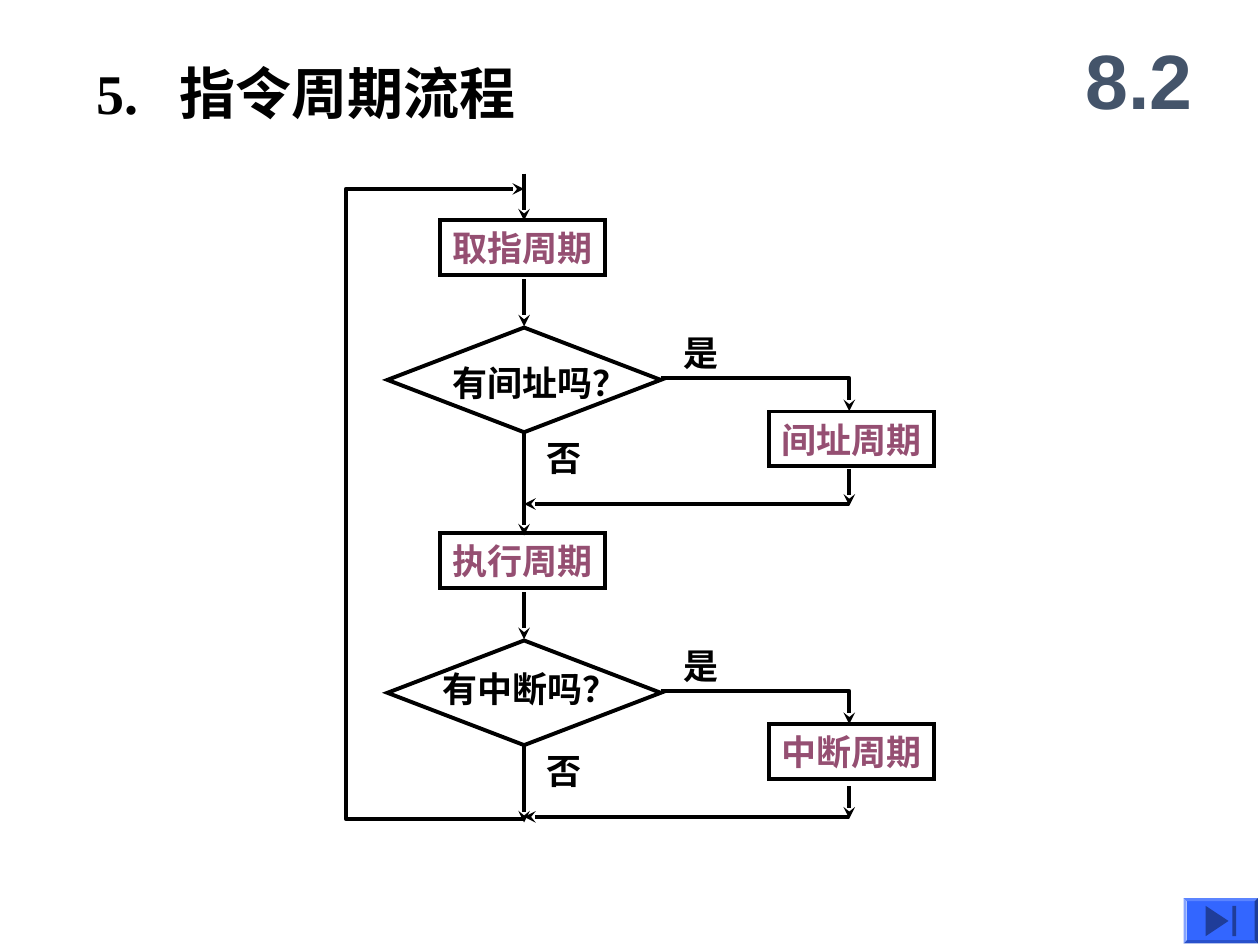
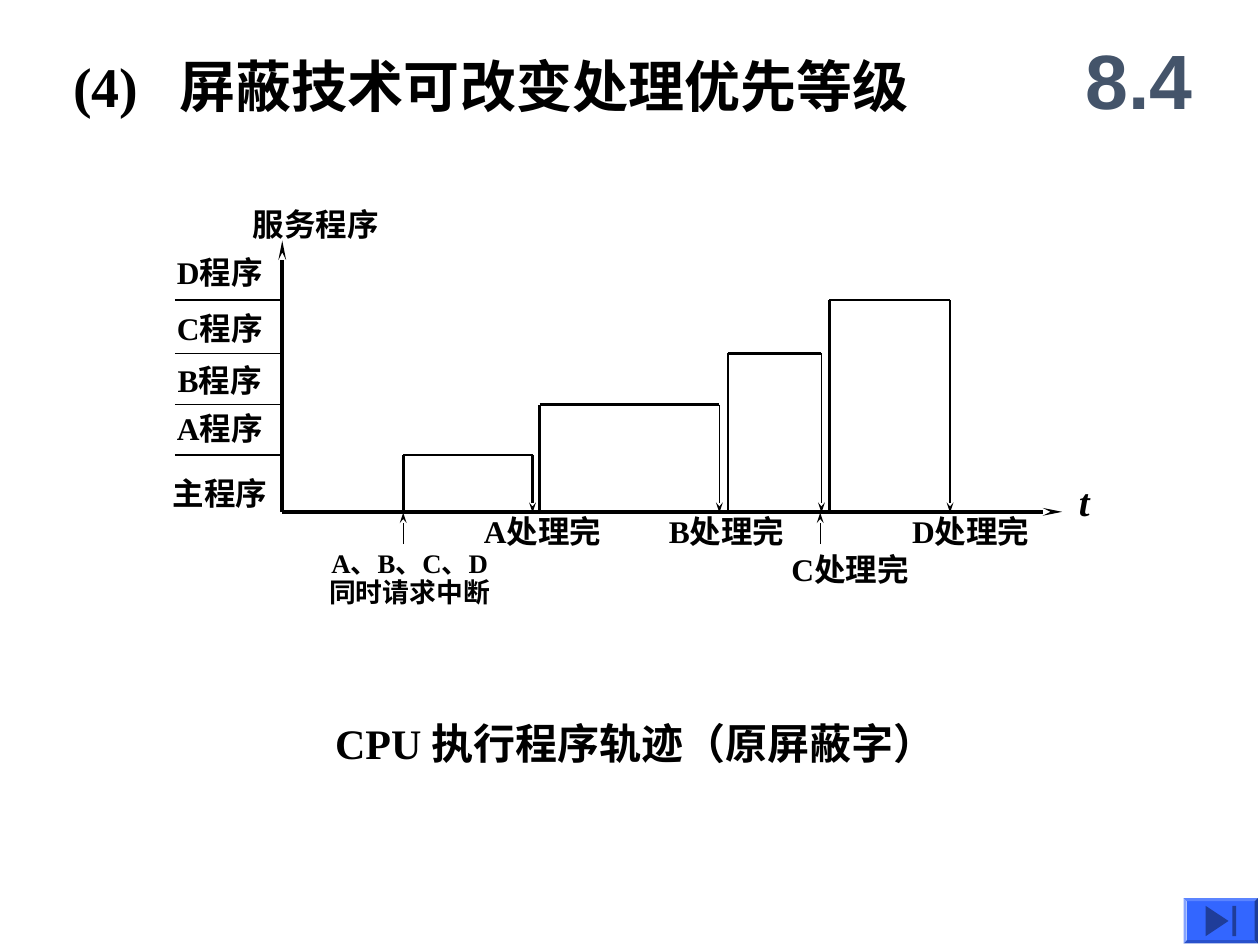
from lxml import etree
from pptx import Presentation
from pptx.dml.color import RGBColor
from pptx.enum.shapes import MSO_CONNECTOR, MSO_SHAPE
from pptx.enum.text import MSO_ANCHOR, MSO_AUTO_SIZE, PP_ALIGN
from pptx.oxml.ns import qn
from pptx.util import Pt

LEFT, CENTER = PP_ALIGN.LEFT, PP_ALIGN.CENTER
TOP, MIDDLE = MSO_ANCHOR.TOP, MSO_ANCHOR.MIDDLE
STRAIGHT = MSO_CONNECTOR.STRAIGHT
RECTANGLE, DIAMOND, BEVEL = MSO_SHAPE.RECTANGLE, MSO_SHAPE.DIAMOND, MSO_SHAPE.BEVEL

SERIF, SANS = "Times New Roman", "Arial"
BLACK, PURPLE, SLATE = "000000", "954F72", "44546A"
BUTTON_BLUE, ICON_BLUE = "3366FF", "1F3D99"
TITLE_ONLY = 5

# Arrowheads: width and length
PLAIN_HEAD, SLIM_HEAD, AXIS_HEAD = ("med", "med"), ("sm", "med"), ("sm", "lg")

# number, title, section, left, top, height, tab stop
CYCLE_TITLE = ("5.", "指令周期流程", "8.2", 55.4, 29.7, 46, 47.2)
MASK_TITLE = ("(4)", "屏蔽技术可改变处理优先等级", "8.4", 41.8, 31.7, 33.8, 61)

# Flowchart: each stage is a step, a question and a side step
STAGES = [
    {"step": "取指周期", "question": "有间址吗？", "question_at": (258.4, 206.3),
     "side": "间址周期", "side_exit": 268, "no_end": 306},
    {"step": "执行周期", "question": "有中断吗？", "question_at": (253, 381.6),
     "side": "中断周期", "side_exit": 449.3, "no_end": 470},
]
YES, NO = "是", "否"
STAGE_PITCH = 178.8
MAIN_X, SIDE_X, LOOP_X = 299.5, 485.3, 197.6
STEP_LEFT, SIDE_LEFT = 251.6, 439.6
STEP_SIZE, DIAMOND_SIZE = (94.3, 31.4), (156.2, 59.8)

# Timing diagram: row label, its top, level of its upper line
MAIN_ROW = ("主程序", 270.7)
ROWS = [("A程序", 233.5, 260), ("B程序", 206.2, 231.3),
        ("C程序", 176.4, 202), ("D程序", 144.7, 171.5)]
# start, end, fall line width, done label, its centre, its top
RUNS = [
    (230.4, 304.3, 1.5, "A处理完", 310, 292.3),
    (308.4, 411.1, 1, "B处理完", 415.2, 292.3),
    (416, 469.4, 1, "C处理完", 485.7, 314.3),
    (474, 542.9, 1.5, "D处理完", 554.8, 292.3),
]
AXIS_NAME, TIME_NAME = "服务程序", "t"
REQUEST = ["A、B、C、D", "同时请求中断"]
CAPTION = "CPU 执行程序轨迹（原屏蔽字）"
AXIS_X, AXIS_Y, AXIS_TOP, AXIS_RIGHT = 161.3, 292.5, 137.5, 607
TICK_X, ROW_LEFT, ROW_WIDTH = 100, 93.6, 64
DONE_WIDTH = 88


def color(value):
    return RGBColor.from_string(value)


def write(shape, lines, size, ink=BLACK, font=SERIF, align=LEFT, anchor=TOP,
          wrap=True, spacing=None, italic=False):
    frame = shape.text_frame
    frame.text = "\n".join(lines)
    frame.auto_size = MSO_AUTO_SIZE.NONE
    frame.word_wrap = wrap
    frame.vertical_anchor = anchor
    frame.margin_left = frame.margin_right = 0
    frame.margin_top = frame.margin_bottom = 0
    for para in frame.paragraphs:
        para.alignment = align
        if spacing:
            para.line_spacing = spacing
        for span in para.runs:
            span.font.name, span.font.size = font, Pt(size)
            span.font.bold, span.font.italic = True, italic
            span.font.color.rgb = color(ink)


def add_label(page, text, left, top, width, height, size, **style):
    box = page.shapes.add_textbox(Pt(left), Pt(top), Pt(width), Pt(height))
    write(box, text if isinstance(text, list) else [text], size, **style)


def style_shape(shape, fill=None, line=None):
    shape.shadow.inherit = False
    if fill:
        shape.fill.solid()
        shape.fill.fore_color.rgb = color(fill)
    else:
        shape.fill.background()
    if line:
        shape.line.color.rgb = color(BLACK)
        shape.line.width = Pt(line)
    else:
        shape.line.fill.background()


def add_shape(page, kind, left, top, size, fill=None, line=None):
    """Add a preset shape; an outlined one gets sharp corners."""
    shape = page.shapes.add_shape(kind, Pt(left), Pt(top), Pt(size[0]), Pt(size[1]))
    style_shape(shape, fill, line)
    if line:
        etree.SubElement(shape.line._get_or_add_ln(), qn("a:miter"), lim="800000")
    return shape


def add_outline(page, points, close=False, fill=None, line=None):
    corners = [(Pt(x), Pt(y)) for x, y in points]
    builder = page.shapes.build_freeform(*corners[0])
    builder.add_line_segments(corners[1:], close=close)
    shape = builder.convert_to_shape()
    style_shape(shape, fill, line)
    return shape


def add_path(page, *points, width=2.25, head=None):
    """Draw a connector, or a bent outline for more than two points."""
    if len(points) > 2:
        path = add_outline(page, points, line=width)
    else:
        (x1, y1), (x2, y2) = points
        path = page.shapes.add_connector(STRAIGHT, Pt(x1), Pt(y1), Pt(x2), Pt(y2))
        path.line.color.rgb = color(BLACK)
        path.line.width = Pt(width)
        etree.SubElement(path.line._get_or_add_ln().getparent(), qn("a:effectLst"))
    if head:
        etree.SubElement(path.line._get_or_add_ln(), qn("a:tailEnd"),
                         type="stealth", w=head[0], len=head[1])


def add_end_button(page):
    button = add_shape(page, BEVEL, 676.3, 513.2, (42.5, 25.9), fill=BUTTON_BLUE)
    button.adjustments[0] = 0.07
    add_outline(page, [(689, 517.7), (702, 526.3), (689, 535)], close=True, fill=ICON_BLUE)
    add_shape(page, RECTANGLE, 704.2, 517.7, (2.2, 17.3), fill=ICON_BLUE)


def add_page(deck, heading):
    number, name, section, left, top, height, stop = heading
    page = deck.slides.add_slide(deck.slide_layouts[TITLE_ONLY])
    title = page.shapes.title
    title.left, title.top, title.width, title.height = Pt(left), Pt(top), Pt(530), Pt(height)
    write(title, [f"{number}\t{name}"], 32, anchor=MIDDLE)
    tabs = etree.SubElement(title.text_frame.paragraphs[0]._p.get_or_add_pPr(), qn("a:tabLst"))
    etree.SubElement(tabs, qn("a:tab"), pos=str(Pt(stop)), algn="l")
    add_label(page, section, 605.8, 12.2, 90, 66, 44, ink=SLATE, font=SANS,
              align=CENTER, anchor=MIDDLE)
    add_end_button(page)
    return page


def add_step(page, text, left, top):
    box = add_shape(page, RECTANGLE, left, top, STEP_SIZE, line=2.25)
    write(box, [text], 20, ink=PURPLE, align=CENTER, anchor=MIDDLE, wrap=False)


def add_stage(page, stage, offset):
    def down(y):
        return y + offset

    add_step(page, stage["step"], STEP_LEFT, down(125.9))
    add_path(page, (MAIN_X, down(159.5)), (MAIN_X, down(186.5)), head=PLAIN_HEAD)

    add_shape(page, DIAMOND, MAIN_X - DIAMOND_SIZE[0] / 2, down(187.2),
              DIAMOND_SIZE, line=2.25)
    add_label(page, stage["question"], *stage["question_at"], 100, 26, 20, wrap=False)

    add_path(page, (377.5, down(216)), (SIDE_X, down(216)), (SIDE_X, down(235)),
             head=PLAIN_HEAD)
    add_label(page, YES, 390.6, down(189.4), 22, 26, 20, wrap=False)
    add_step(page, stage["side"], SIDE_LEFT, down(235.2))
    add_path(page, (SIDE_X, stage["side_exit"]), (SIDE_X, down(289)), head=PLAIN_HEAD)
    add_path(page, (SIDE_X, down(288)), (MAIN_X, down(288)), head=PLAIN_HEAD)

    add_path(page, (MAIN_X, down(247.5)), (MAIN_X, stage["no_end"]), head=PLAIN_HEAD)
    add_label(page, NO, 312.2, down(249.2), 22, 26, 20, wrap=False)


def build_cycle_page(deck):
    page = add_page(deck, CYCLE_TITLE)
    add_path(page, (MAIN_X, 99.2), (MAIN_X, 126), head=PLAIN_HEAD)
    for index, stage in enumerate(STAGES):
        add_stage(page, stage, index * STAGE_PITCH)
    add_path(page, (MAIN_X, 468), (LOOP_X, 468), (LOOP_X, 108), (MAIN_X, 108),
             head=PLAIN_HEAD)


def build_mask_page(deck):
    page = add_page(deck, MASK_TITLE)
    add_path(page, (AXIS_X, AXIS_Y), (AXIS_RIGHT, AXIS_Y), head=AXIS_HEAD)
    add_path(page, (AXIS_X, AXIS_Y), (AXIS_X, AXIS_TOP), head=AXIS_HEAD)
    add_label(page, AXIS_NAME, 131.2, 117, 98.6, 27, 18, align=CENTER)
    add_label(page, TIME_NAME, 601.2, 275.8, 36.7, 26.6, 22.2, align=CENTER,
              spacing=0.9, italic=True)

    for text, top in [MAIN_ROW] + [row[:2] for row in ROWS]:
        add_label(page, text, ROW_LEFT, top, ROW_WIDTH, 26.6, 18, align=CENTER)

    for (_, _, level), (start, end, fall, done, center, top) in zip(ROWS, RUNS):
        add_path(page, (TICK_X, level), (AXIS_X, level), width=0.75)
        add_path(page, (start, level), (start, AXIS_Y), width=1.5)
        add_path(page, (start, level), (end, level), width=1.5)
        add_path(page, (end, level), (end, AXIS_Y + 0.5), width=fall, head=SLIM_HEAD)
        add_label(page, done, center - DONE_WIDTH / 2, top, DONE_WIDTH, 26, 18, align=CENTER)

    for x in (RUNS[0][0], RUNS[2][1] - 0.7):
        add_path(page, (x, 311), (x, 293), width=0.75, head=SLIM_HEAD)
    add_label(page, REQUEST, 179.4, 314.6, 109.4, 41, 15.3, align=CENTER, spacing=0.9)
    add_label(page, CAPTION, 191.5, 409.8, 394, 29, 24)


def main():
    deck = Presentation()
    deck.slide_width, deck.slide_height = Pt(720), Pt(540)
    build_cycle_page(deck)
    build_mask_page(deck)
    deck.save("out.pptx")


if __name__ == "__main__":
    main()
